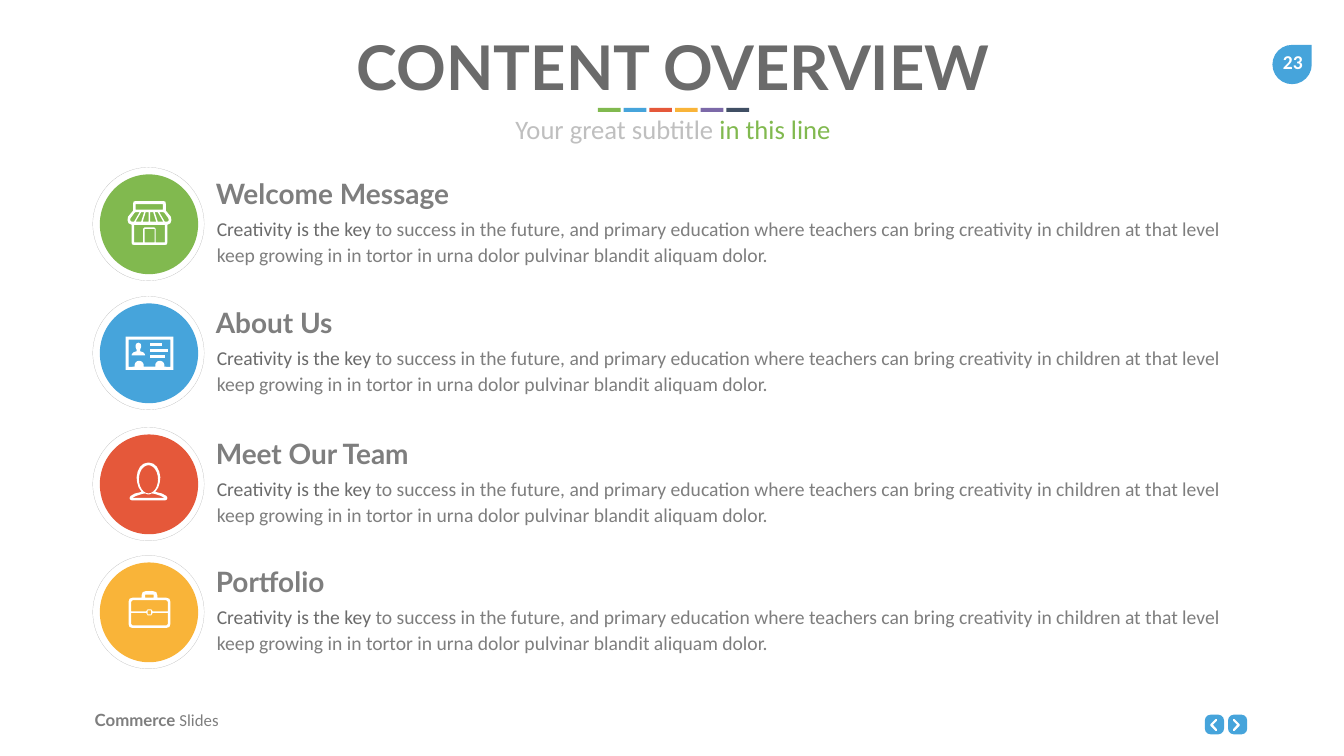
from dataclasses import dataclass
from math import cos, pi, sin

from pptx import Presentation
from pptx.dml.color import RGBColor
from pptx.enum.dml import MSO_LINE
from pptx.enum.shapes import MSO_SHAPE as Shape
from pptx.enum.text import MSO_AUTO_SIZE as AutoSize, PP_ALIGN as Align
from pptx.util import Inches, Pt


@dataclass(frozen=True)
class Theme:
    green: str = "81B94F"
    blue: str = "46A4DB"
    red: str = "E5583A"
    yellow: str = "F9B439"
    purple: str = "7C69A8"
    navy: str = "404F64"
    dark: str = "6B6B6B"
    grey: str = "7E7E7E"
    pale: str = "BFBFBF"
    ring: str = "B2B2B2"
    white: str = "FFFFFF"
    heading_font: str = "Lato"
    body_font: str = "Calibri"
    title_size: int = 88
    heading_size: int = 40
    subtitle_size: int = 38
    body_size: int = 28
    footer_size: int = 24


THEME = Theme()
NARROW = (0.1, 0.05)
WIDE = (0.2, 0.1)


# Outline helpers: every outline is a list of (x, y) points in inches
def rectangle(left, top, right, bottom):
    return [(left, top), (right, top), (right, bottom), (left, bottom)]


def arc(x, y, radius_x, radius_y, start, end, steps=24):
    angles = [start + (end - start) * i / steps for i in range(steps + 1)]
    return [(x + radius_x * cos(a), y - radius_y * sin(a)) for a in angles]


def mirrored(half, axis):
    return half + [(2 * axis - x, y) for x, y in reversed(half)]


class SlideBuilder:
    def __init__(self, page, theme):
        self.page = page
        self.theme = theme

    def shape(self, kind, left, top, width, height, fill=None, line=None):
        item = self.page.shapes.add_shape(
            kind, Inches(left), Inches(top), Inches(width), Inches(height))
        self.paint(item, fill)
        if line:
            item.line.color.rgb = RGBColor.from_string(line)
            item.line.width = Pt(0.25)
            item.line.dash_style = MSO_LINE.SQUARE_DOT
        return item

    def outline(self, *contours):
        (x, y), *_ = contours[0]
        builder = self.page.shapes.build_freeform(Inches(x), Inches(y))
        for i, contour in enumerate(contours):
            points = [(Inches(x), Inches(y)) for x, y in contour]
            if i:
                builder.move_to(*points[0])
            builder.add_line_segments(points[1:], close=True)
        self.paint(builder.convert_to_shape(), self.theme.white)

    def paint(self, item, fill):
        item.shadow.inherit = False
        item.line.fill.background()
        if fill:
            item.fill.solid()
            item.fill.fore_color.rgb = RGBColor.from_string(fill)
        else:
            item.fill.background()

    def text(self, place, spans, size, inset=NARROW, align=Align.LEFT,
             wrap=True, spacing=None):
        """Each span is (words, font, colour, bold)."""
        box = self.page.shapes.add_textbox(*map(Inches, place))
        frame = box.text_frame
        frame.word_wrap = wrap
        frame.auto_size = AutoSize.SHAPE_TO_FIT_TEXT
        frame.margin_left = frame.margin_right = Inches(inset[0])
        frame.margin_top = frame.margin_bottom = Inches(inset[1])
        para = frame.paragraphs[0]
        para.alignment = align
        if spacing:
            para.line_spacing = spacing
        for words, font, colour, bold in spans:
            span = para.add_run()
            span.text = words
            span.font.name = font
            span.font.size = Pt(size)
            span.font.bold = bold
            span.font.color.rgb = RGBColor.from_string(colour)

    def topic(self, top, colour, heading, icon):
        theme = self.theme
        self.shape(Shape.OVAL, 1.98, top + 0.14, 1.95, 1.98, fill=colour)
        self.shape(Shape.OVAL, 1.84, top, 2.21, 2.25, line=theme.ring)
        self.text((4.08, top + 0.09, 5.09, 0.88),
                  [(heading, theme.heading_font, theme.grey, True)],
                  theme.heading_size, WIDE, wrap=False)
        self.text((4.1, top + 0.83, 20.9, 1.23),
                  [(LEAD, theme.body_font, theme.dark, False),
                   (BODY, theme.body_font, theme.grey, False)],
                  theme.body_size, WIDE, spacing=1.1)
        for contours in icon:
            self.outline(*contours)


LEAD = "Creativity is the key "
BODY = ("to success in the future, and primary education where teachers can "
        "bring creativity in children at that level keep growing in in tortor "
        "in urna dolor pulvinar blandit aliquam dolor.")

# Icons: lists of filled outlines, where inner contours cut holes
MIDDLE = 2.965
awning_left = [
    [(2.69, 4.4), (2.8, 4.21), (2.86, 4.21), (2.8, 4.4)],
    [(2.89, 4.21), (2.95, 4.21), (2.95, 4.4), (2.83, 4.4)],
    [(2.61, 4.4), (2.58, 4.37), (2.59, 4.33), (2.67, 4.22), (2.69, 4.21),
     (2.77, 4.21), (2.66, 4.4)],
]
awning_right = [[(2 * MIDDLE - x, y) for x, y in stripe] for stripe in awning_left]
STORE = [[
    mirrored([(2.69, 3.99), (2.65, 4.0), (2.64, 4.05), (2.64, 4.18), (2.54, 4.3),
              (2.53, 4.37), (2.55, 4.43), (2.61, 4.46), (2.61, 4.81),
              (2.62, 4.85), (2.66, 4.86)], MIDDLE),
    rectangle(2.69, 4.05, 3.23, 4.16),
    *awning_left, *awning_right,
    rectangle(2.87, 4.54, 3.07, 4.81),
    mirrored([(2.87, 4.51), (2.84, 4.54), (2.84, 4.81), (2.66, 4.81),
              (2.66, 4.46)], MIDDLE),
]]
CARD = [
    [mirrored([(2.74, 6.8), (2.7, 6.82), (2.69, 6.86), (2.69, 6.89), (2.7, 6.91),
               (2.71, 6.94), (2.71, 6.97), (2.65, 6.99), (2.62, 7.02),
               (2.61, 7.05)], 2.745)],
    *[[rectangle(2.97, 6.8 + 0.12 * i, 2.97 + width, 6.86 + 0.12 * i)]
      for i, width in enumerate((0.24, 0.36, 0.3))],
    [rectangle(2.49, 6.68, 3.44, 7.34),
     [(2.55, 6.74), (3.38, 6.74), (3.38, 7.28),
      *arc(3.17, 7.25, 0.09, 0.09, -0.3, pi + 0.3),
      *arc(2.76, 7.25, 0.09, 0.09, -0.3, pi + 0.3), (2.55, 7.28)]],
]
NECK = 2.945
PERSON = [[
    mirrored([(2.93, 9.18), (2.85, 9.2), (2.78, 9.26), (2.73, 9.36), (2.71, 9.47),
              (2.72, 9.57), (2.75, 9.67), (2.81, 9.76), (2.68, 9.79),
              (2.59, 9.84), (2.57, 9.88), (2.58, 9.91), (2.62, 9.93)], NECK),
    arc(NECK, 9.51, 0.19, 0.28, 0, 2 * pi),
    mirrored([(2.62, 9.88), (2.7, 9.84), (2.82, 9.8), (2.88, 9.79),
              (2.93, 9.81)], NECK),
]]
BRIEFCASE = [[
    mirrored([(2.89, 11.73), (2.83, 11.75), (2.81, 11.81), (2.81, 11.86),
              (2.63, 11.86), (2.57, 11.88), (2.55, 11.94), (2.55, 12.38),
              (2.57, 12.44), (2.63, 12.46)], MIDDLE),
    rectangle(2.88, 11.8, 3.05, 11.86),
    mirrored([(2.63, 11.91), (2.6, 11.94), (2.6, 12.13), (2.9, 12.13),
              (2.93, 12.09)], MIDDLE),
    rectangle(2.93, 12.11, 3.0, 12.19),
    mirrored([(2.93, 12.21), (2.9, 12.16), (2.6, 12.16), (2.6, 12.38),
              (2.63, 12.41)], MIDDLE),
]]
CHEVRON = [(24.14, 14.47), (24.14, 14.5), (24.11, 14.5), (24.01, 14.4),
           (24.01, 14.37), (24.11, 14.27), (24.14, 14.27), (24.14, 14.3),
           (24.06, 14.38)]


def main():
    deck = Presentation()
    deck.slide_width, deck.slide_height = Inches(26.66), Inches(15)
    page = deck.slides.add_slide(deck.slide_layouts[6])
    theme = THEME
    slide = SlideBuilder(page, theme)

    # Navigation buttons
    arrows = (CHEVRON, [(48.6 - x, y) for x, y in CHEVRON])
    for left, arrow in zip((23.9, 24.36), arrows):
        button = slide.shape(Shape.ROUNDED_RECTANGLE, left, 14.18, 0.38, 0.39,
                             fill=theme.blue)
        button.adjustments[0] = 0.3
        slide.outline(arrow)

    # Page number and footer
    slide.shape(Shape.TEAR, 25.24, 0.89, 0.78, 0.78, fill=theme.blue)
    slide.text((25.21, 0.9, 0.87, 0.67),
               [("23", theme.body_font, theme.white, True)],
               theme.body_size, WIDE, Align.CENTER, wrap=False)
    slide.text((1.78, 14.04, 4, 0.5),
               [("Commerce ", theme.heading_font, theme.grey, True),
                ("Slides", theme.body_font, theme.grey, False)],
               theme.footer_size)

    # Title, colour bars and subtitle
    slide.text((1.9, 0.53, 22.9, 1.58),
               [("CONTENT OVERVIEW", theme.heading_font, theme.dark, True)],
               theme.title_size, align=Align.CENTER)
    bars = (theme.green, theme.blue, theme.red, theme.yellow, theme.purple, theme.navy)
    for i, colour in enumerate(bars):
        slide.shape(Shape.RECTANGLE, 11.86 + 0.51 * i, 2.14, 0.45, 0.08, fill=colour)
    slide.text((1.9, 2.2, 22.9, 0.74),
               [("Your great subtitle ", theme.body_font, theme.pale, False),
                ("in this line", theme.body_font, theme.green, False)],
               theme.subtitle_size, align=Align.CENTER)

    # Topics
    slide.topic(3.32, theme.green, "Welcome Message", STORE)
    slide.topic(5.88, theme.blue, "About Us", CARD)
    slide.topic(8.48, theme.red, "Meet Our Team", PERSON)
    slide.topic(11.02, theme.yellow, "Portfolio", BRIEFCASE)

    deck.save("out.pptx")


if __name__ == "__main__":
    main()
